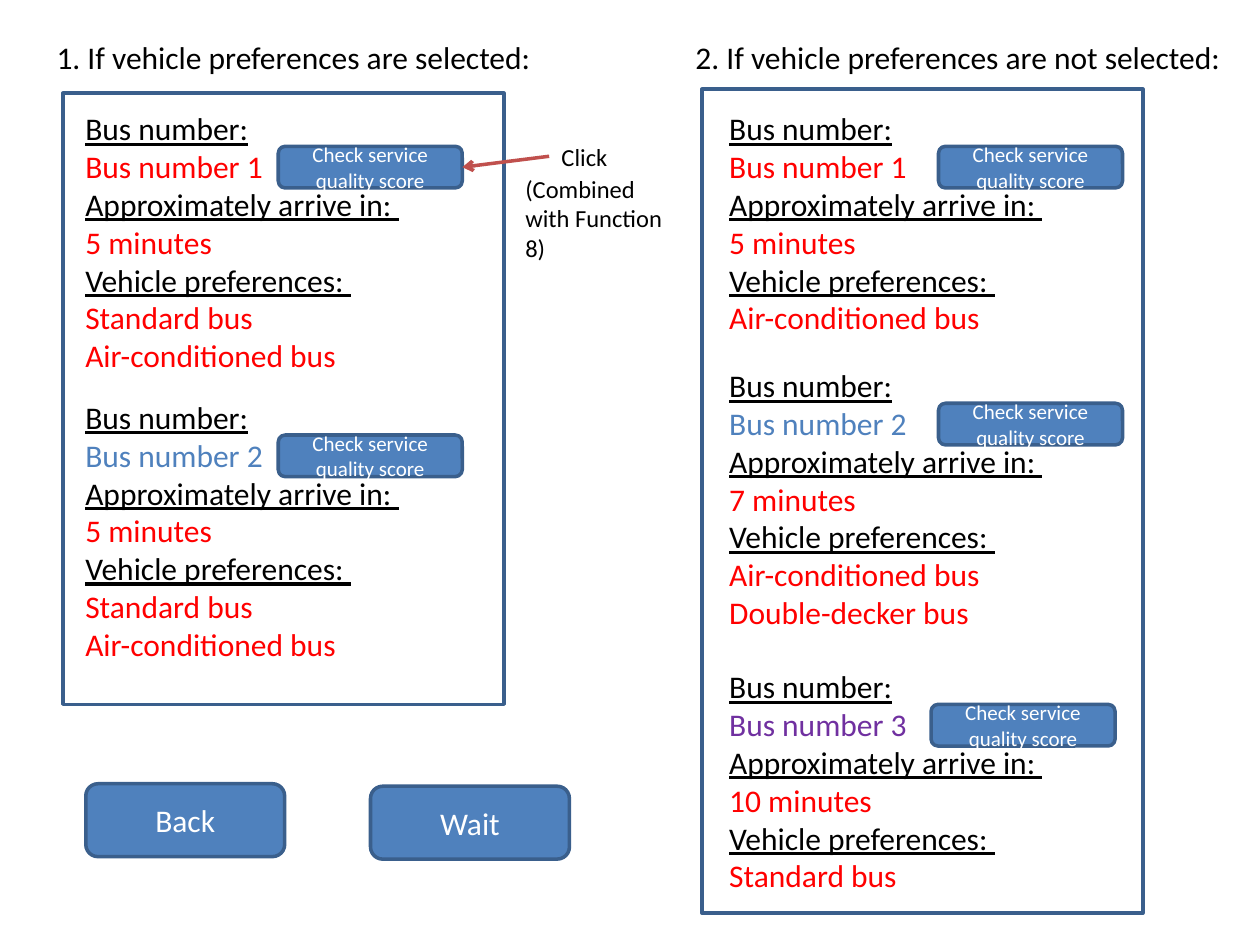
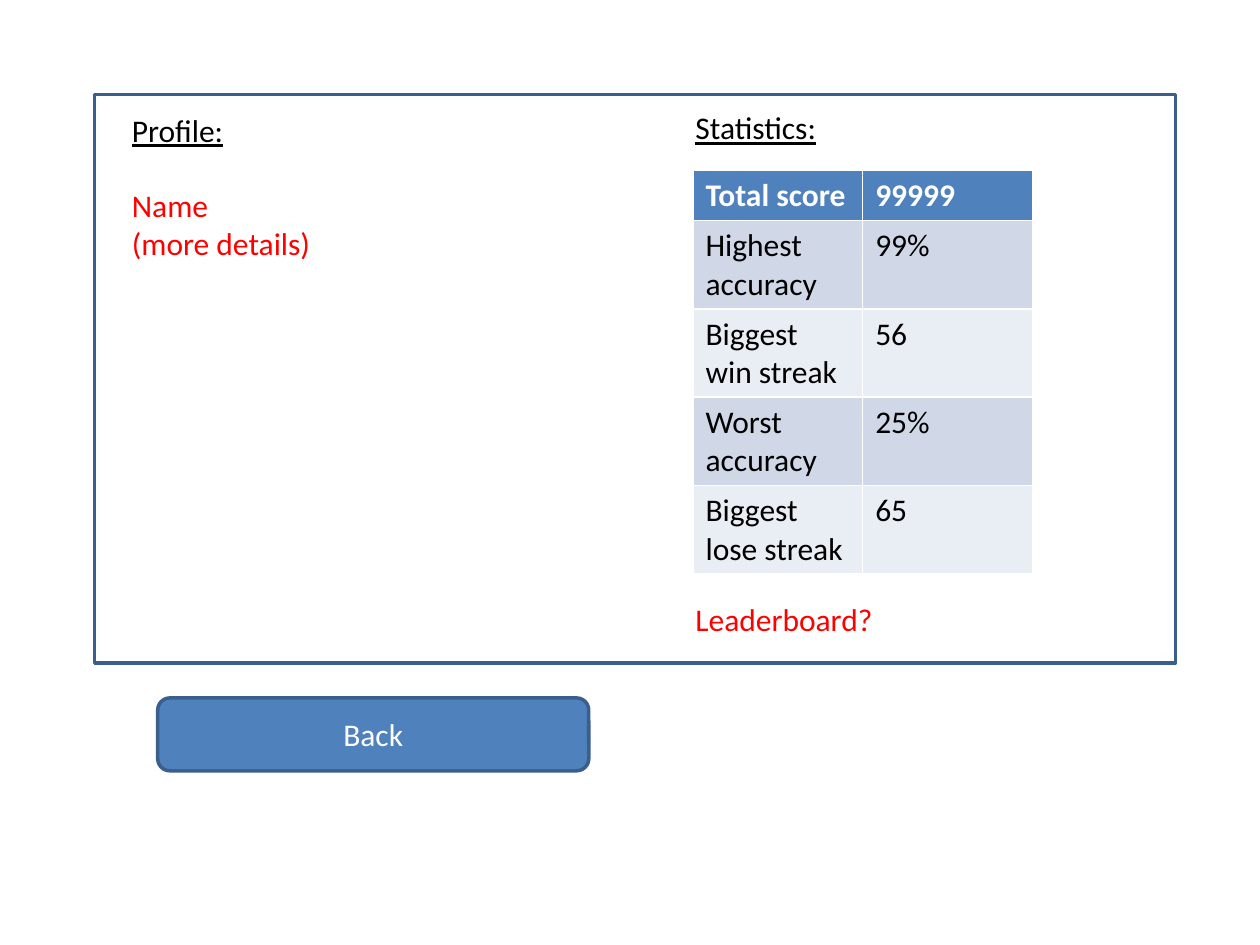
from lxml import etree
from pptx import Presentation
from pptx.dml.color import RGBColor
from pptx.enum.shapes import MSO_CONNECTOR, MSO_SHAPE
from pptx.enum.text import MSO_ANCHOR, MSO_AUTO_SIZE, PP_ALIGN
from pptx.oxml.ns import qn
from pptx.util import Cm, Pt

RECTANGLE, ROUNDED = MSO_SHAPE.RECTANGLE, MSO_SHAPE.ROUNDED_RECTANGLE
STRAIGHT = MSO_CONNECTOR.STRAIGHT
MIDDLE, CENTER = MSO_ANCHOR.MIDDLE, PP_ALIGN.CENTER
GROW = MSO_AUTO_SIZE.SHAPE_TO_FIT_TEXT
RIGHT_SIDE = 3

BLACK = RGBColor(0x00, 0x00, 0x00)
WHITE = RGBColor(0xFF, 0xFF, 0xFF)
RED = RGBColor(0xFF, 0x00, 0x00)
BLUE = RGBColor(0x4F, 0x81, 0xBD)
PURPLE = RGBColor(0x70, 0x30, 0xA0)
OUTLINE = RGBColor(0x3A, 0x5F, 0x8C)
ARROW = RGBColor(0xC0, 0x50, 0x4D)
BAND_DARK = RGBColor(0xD0, 0xD8, 0xE8)
BAND_LIGHT = RGBColor(0xE9, 0xED, 0xF4)

FONT = "Calibri"
BODY, NOTE, SMALL = 18, 14, 12


def add_text(page, left, top, width, lines, size=BODY, gap_lines=0):
    """Add (text, colour, underlined) lines, with a gap after the first one."""
    height = 0.25 + 0.043 * size * (len(lines) + gap_lines)
    box = page.shapes.add_textbox(Cm(left), Cm(top), Cm(width), Cm(height))
    frame = box.text_frame
    frame.word_wrap = True
    frame.auto_size = GROW
    for index, (text, colour, underlined) in enumerate(lines):
        para = frame.paragraphs[0] if index == 0 else frame.add_paragraph()
        para.text = text
        para.font.name = FONT
        para.font.size = Pt(size)
        para.font.color.rgb = colour
        para.font.underline = underlined
        if index == 1 and gap_lines:
            para.space_before = Pt(1.2 * size * gap_lines)


def add_box(page, left, top, width, height, label=None, size=BODY):
    """Add a button, or an unfilled panel when there is no label."""
    kind = ROUNDED if label else RECTANGLE
    box = page.shapes.add_shape(kind, Cm(left), Cm(top), Cm(width), Cm(height))
    box.shadow.inherit = False
    box.line.color.rgb = OUTLINE
    box.line.width = Pt(2)
    if not label:
        box.fill.background()
        return box
    box.fill.solid()
    box.fill.fore_color.rgb = BLUE
    box.text_frame.word_wrap = True
    box.text_frame.vertical_anchor = MIDDLE
    para = box.text_frame.paragraphs[0]
    para.text = label
    para.alignment = CENTER
    para.font.name = FONT
    para.font.size = Pt(size)
    para.font.color.rgb = WHITE
    return box


deck = Presentation()
deck.slide_width, deck.slide_height = Cm(25.4), Cm(19.05)
blank = deck.slide_layouts[6]

# Slide 1: bus arrivals with and without vehicle preferences
page = deck.slides.add_slide(blank)
add_box(page, 1.27, 1.88, 8.89, 12.32)
add_box(page, 14.15, 1.8, 8.89, 16.61)
for left, title in (
    (0.89, "1. If vehicle preferences are selected:"),
    (13.77, "2. If vehicle preferences are not selected:"),
):
    add_text(page, left, 0.64, 11.23, [(title, BLACK, False)])

STANDARD, COOLED, DOUBLE = "Standard bus", "Air-conditioned bus", "Double-decker bus"
# left, top, bus, colour, minutes, vehicles, button left
arrivals = [
    (1.47, 2.08, 1, RED, 5, [STANDARD, COOLED], 5.61),
    (1.47, 7.9, 2, BLUE, 5, [STANDARD, COOLED], 5.61),
    (14.45, 2.08, 1, RED, 5, [COOLED], 18.92),
    (14.45, 7.26, 2, BLUE, 7, [COOLED, DOUBLE], 18.92),
    (14.45, 13.33, 3, PURPLE, 10, [STANDARD], 18.77),
]
score_buttons = []
for left, top, bus, colour, minutes, vehicles, button_left in arrivals:
    lines = [
        ("Bus number:", BLACK, True),
        (f"Bus number {bus}", colour, False),
        ("Approximately arrive in: ", BLACK, True),
        (f"{minutes} minutes", RED, False),
        ("Vehicle preferences: ", BLACK, True),
    ]
    lines += [(vehicle, RED, False) for vehicle in vehicles]
    add_text(page, left, top, 8.26, lines)
    score_buttons.append(add_box(page, button_left, top + 0.87, 3.71, 0.84,
                                 "Check service quality score", SMALL))

arrow = page.shapes.add_connector(STRAIGHT, Cm(11.07), Cm(3.15), Cm(9.32), Cm(3.38))
arrow.end_connect(score_buttons[0], RIGHT_SIDE)
arrow.line.color.rgb = ARROW
arrow.line.width = Pt(2)
etree.SubElement(arrow.line._get_or_add_ln(), qn("a:tailEnd"), type="arrow")
etree.SubElement(arrow._element.spPr, qn("a:effectLst"))
add_text(page, 11.07, 2.74, 2.03, [("Click", BLACK, False)], NOTE)
add_text(page, 10.34, 3.38, 3.4, [("(Combined with Function 8)", BLACK, False)], NOTE)

add_box(page, 1.73, 15.8, 4.01, 1.47, "Back")
add_box(page, 7.47, 15.85, 4.01, 1.47, "Wait")

# Slide 2: profile and statistics
page = deck.slides.add_slide(blank)
add_box(page, 3.18, 14.07, 8.69, 1.47, "Back")
add_box(page, 1.91, 1.91, 21.79, 11.46)
profile = [("Profile:", BLACK, True), ("Name", RED, False), ("(more details)", RED, False)]
add_text(page, 2.41, 2.11, 20.24, profile, gap_lines=1)
statistics = [("Statistics:", BLACK, True), ("Leaderboard?", RED, False)]
add_text(page, 13.77, 2.06, 7.82, statistics, gap_lines=12)

scores = [
    ("Total score", "99999"),
    ("Highest accuracy", "99%"),
    ("Biggest win streak", "56"),
    ("Worst accuracy", "25%"),
    ("Biggest lose streak", "65"),
]
table = page.shapes.add_table(len(scores), 2, Cm(13.97), Cm(3.43), Cm(6.84), Cm(8.12)).table
for row_index, score in enumerate(scores):
    header = row_index == 0
    band = BLUE if header else BAND_DARK if row_index % 2 else BAND_LIGHT
    table.rows[row_index].height = Cm(1) if header else Cm(1.78)
    for column_index, text in enumerate(score):
        cell = table.cell(row_index, column_index)
        cell.fill.solid()
        cell.fill.fore_color.rgb = band
        para = cell.text_frame.paragraphs[0]
        para.text = text
        para.font.name = FONT
        para.font.size = Pt(BODY)
        para.font.bold = header
        para.font.color.rgb = WHITE if header else BLACK

deck.save("out.pptx")
